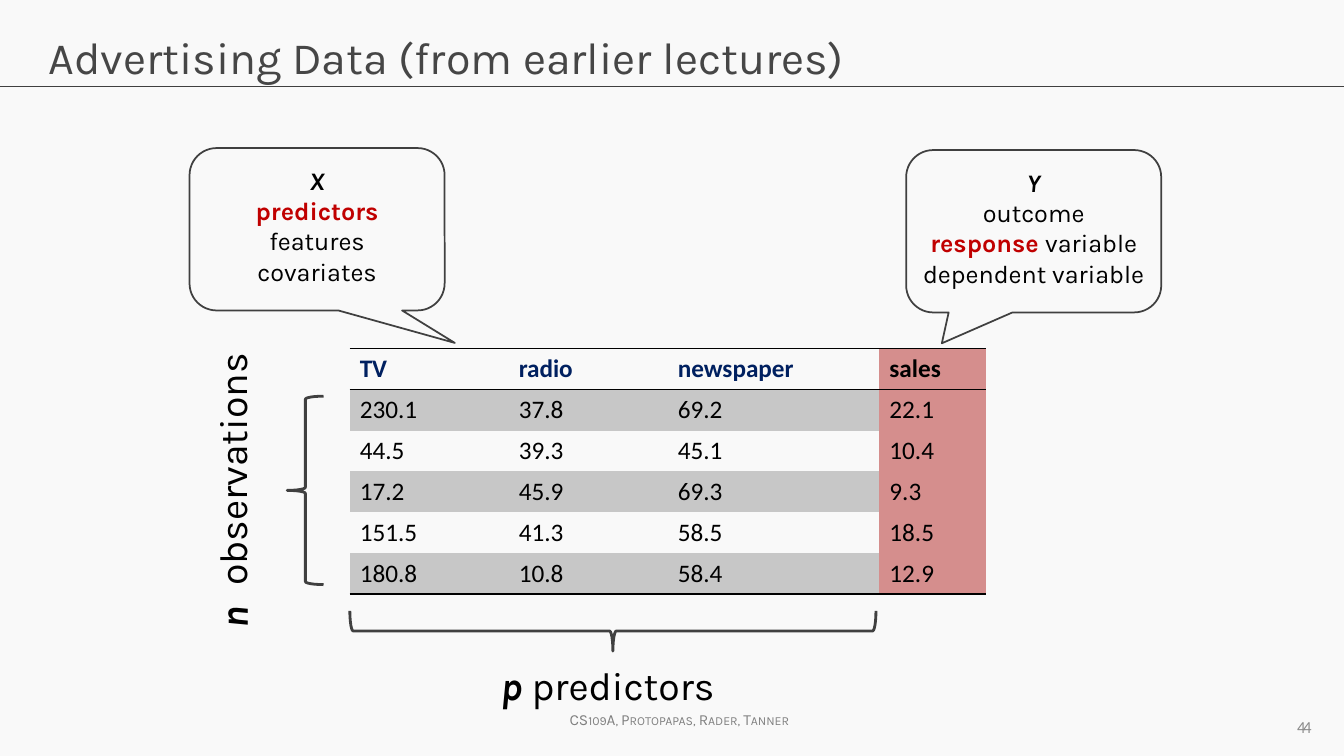
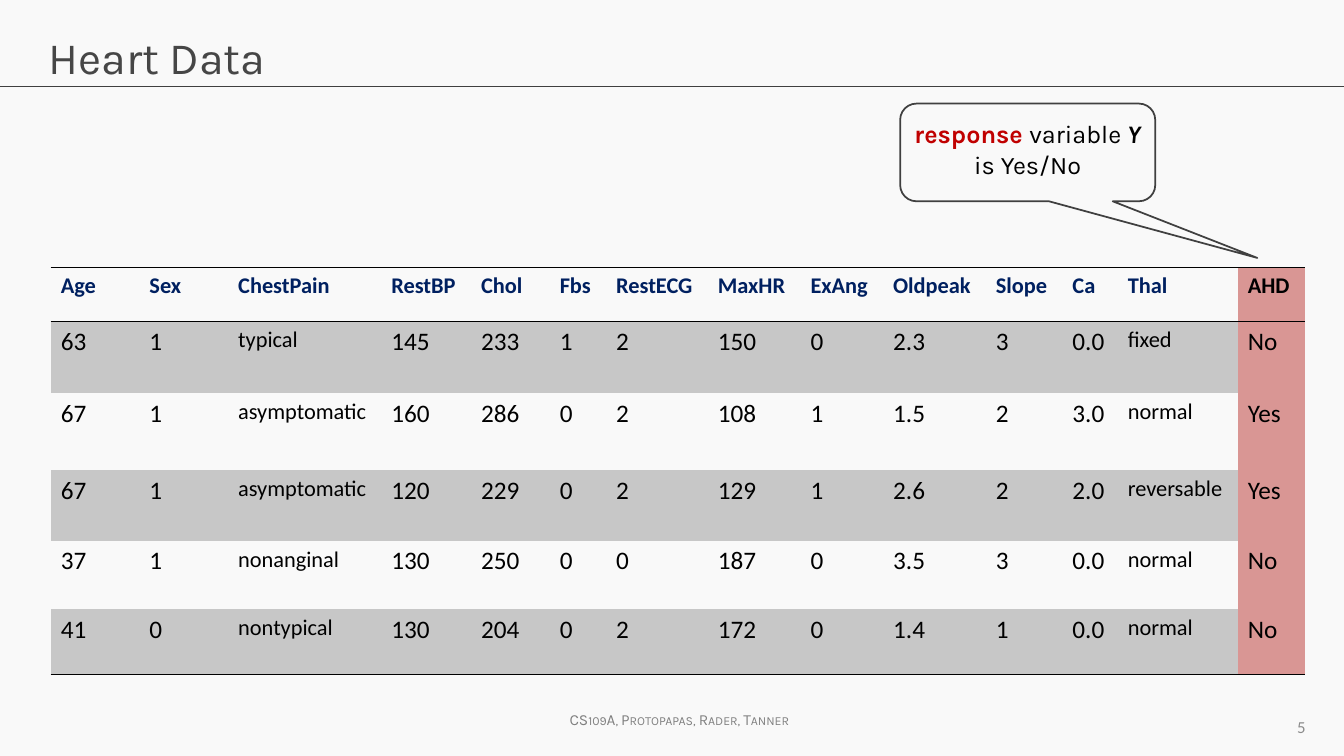
from lxml import etree
from pptx import Presentation
from pptx.dml.color import RGBColor
from pptx.enum.shapes import MSO_CONNECTOR, MSO_SHAPE
from pptx.enum.text import MSO_ANCHOR, MSO_AUTO_SIZE, PP_ALIGN
from pptx.oxml.ns import qn
from pptx.util import Pt

BACKGROUND = RGBColor(0xF9, 0xF9, 0xF9)
BLACK = RGBColor(0, 0, 0)
LINE = RGBColor(0x40, 0x40, 0x40)
TITLE = RGBColor(0x46, 0x46, 0x46)
FOOTER = RGBColor(0x80, 0x80, 0x80)
NUMBER = RGBColor(0x8C, 0x8C, 0x8C)
NAVY = RGBColor(0, 0x20, 0x60)
RED = RGBColor(0xC0, 0, 0)
BAND = RGBColor(0xC7, 0xC7, 0xC7)
ROSE = RGBColor(0xD5, 0x8E, 0x8D)
PINK = RGBColor(0xD9, 0x96, 0x94)

HEAD_FONT, DATA_FONT = "Karla", "Calibri"
NO_TABLE_STYLE = "{2D5ABB26-0587-4C30-8999-92F81FD0307C}"

SALES = [
    ["TV", "radio", "newspaper", "sales"],
    ["230.1", "37.8", "69.2", "22.1"],
    ["44.5", "39.3", "45.1", "10.4"],
    ["17.2", "45.9", "69.3", "9.3"],
    ["151.5", "41.3", "58.5", "18.5"],
    ["180.8", "10.8", "58.4", "12.9"],
]
HEART = [
    ["Age", "Sex", "ChestPain", "RestBP", "Chol", "Fbs", "RestECG", "MaxHR",
     "ExAng", "Oldpeak", "Slope", "Ca", "Thal", "AHD"],
    ["63", "1", "typical", "145", "233", "1", "2", "150", "0", "2.3", "3", "0.0", "fixed", "No"],
    ["67", "1", "asymptomatic", "160", "286", "0", "2", "108", "1", "1.5", "2", "3.0", "normal", "Yes"],
    ["67", "1", "asymptomatic", "120", "229", "0", "2", "129", "1", "2.6", "2", "2.0", "reversable", "Yes"],
    ["37", "1", "nonanginal", "130", "250", "0", "0", "187", "0", "3.5", "3", "0.0", "normal", "No"],
    ["41", "0", "nontypical", "130", "204", "0", "2", "172", "0", "1.4", "1", "0.0", "normal", "No"],
]


def style(font, size, color, name, bold=None):
    font.size, font.name, font.bold = Pt(size), name, bold
    font.color.rgb = color


def bold_italic(r):
    r.font.bold = r.font.italic = True


def bold_red(r):
    r.font.bold = True
    r.font.color.rgb = RED


def small_caps(r):
    r._r.get_or_add_rPr().set("cap", "small")


def wide_symbol(r):
    """Bold italic, with extra room after the letter."""
    bold_italic(r)
    r._r.get_or_add_rPr().set("spc", "800")


def add_border(cell, side):
    ln = etree.SubElement(cell._tc.get_or_add_tcPr(), qn(f"a:{side}"), w=str(Pt(1)))
    fill = etree.SubElement(ln, qn("a:solidFill"))
    etree.SubElement(fill, qn("a:srgbClr"), val=str(BLACK))


class Deck:
    def __init__(self):
        self.prs = Presentation()
        self.prs.slide_width, self.prs.slide_height = Pt(960), Pt(540)
        fill = self.prs.slide_master.background.fill
        fill.solid()
        fill.fore_color.rgb = BACKGROUND

    def new_slide(self, title, number):
        self.s = self.prs.slides.add_slide(self.prs.slide_layouts[5])
        sp = self.s.shapes.title
        sp.left, sp.top, sp.width, sp.height = Pt(27.4), Pt(17.3), Pt(905), Pt(60.5)
        tf = sp.text_frame
        tf.text, tf.vertical_anchor, tf.auto_size = title, MSO_ANCHOR.TOP, MSO_AUTO_SIZE.NONE
        p = tf.paragraphs[0]
        p.alignment = PP_ALIGN.LEFT
        style(p.font, 32, TITLE, HEAD_FONT)
        self.rule(62)
        self.text(395.3, 504, 180, 21, [[("CS109A, Protopapas, Rader, Tanner", small_caps)]],
                  11, FOOTER, align=PP_ALIGN.CENTER)
        self.page_number(715.7, number)

    def rule(self, y):
        line = self.s.shapes.add_connector(MSO_CONNECTOR.STRAIGHT, 0, Pt(y), Pt(960), Pt(y))
        line.line.color.rgb, line.line.width = LINE, Pt(0.75)
        etree.SubElement(line._element.spPr, qn("a:effectLst"))

    def page_number(self, x, number):
        sp = self.text(x, 504.5, 224, 28.8, [[(str(number), None)]], 12, NUMBER,
                       DATA_FONT, PP_ALIGN.RIGHT)
        sp.text_frame.word_wrap = True
        sp.text_frame.vertical_anchor = MSO_ANCHOR.MIDDLE

    def fill_text(self, tf, lines, size, color, name, align):
        """Fill tf with lines, each a list of (text, run formatter or None)."""
        tf.word_wrap = False
        for i, line in enumerate(lines):
            p = tf.add_paragraph() if i else tf.paragraphs[0]
            p.alignment = align
            style(p.font, size, color, name)
            for text, accent in line:
                r = p.add_run()
                r.text = text
                if accent:
                    accent(r)

    def text(self, x, y, w, h, lines, size, color=BLACK, name=HEAD_FONT, align=PP_ALIGN.LEFT):
        sp = self.s.shapes.add_textbox(Pt(x), Pt(y), Pt(w), Pt(h))
        self.fill_text(sp.text_frame, lines, size, color, name, align)
        return sp

    def outline(self, kind, x, y, w, h, weight):
        sp = self.s.shapes.add_shape(kind, Pt(x), Pt(y), Pt(w), Pt(h))
        sp.shadow.inherit = False
        sp.fill.background()
        sp.line.color.rgb, sp.line.width = LINE, Pt(weight)
        return sp

    def callout(self, x, y, h, tip, lines):
        """Speech bubble; tip is the pointer's offset from the centre, in widths and heights."""
        sp = self.outline(MSO_SHAPE.ROUNDED_RECTANGULAR_CALLOUT, x, y, 182.2, h, 1.25)
        sp.adjustments[0], sp.adjustments[1] = tip
        tf = sp.text_frame
        tf.vertical_anchor = MSO_ANCHOR.MIDDLE
        tf.margin_top, tf.margin_bottom = 0, Pt(5)
        self.fill_text(tf, lines, 18, BLACK, HEAD_FONT, PP_ALIGN.CENTER)

    def brace(self, x, y, w, h, rotation=0):
        self.outline(MSO_SHAPE.LEFT_BRACE, x, y, w, h, 2).rotation = rotation

    def table(self, x, y, widths, heights, rows, response_fill, head_size, word_cols=()):
        """Banded table whose last column, the response, is highlighted."""
        tbl = self.s.shapes.add_table(len(rows), len(widths), Pt(x), Pt(y),
                                      Pt(sum(widths)), Pt(sum(heights))).table
        tbl.first_row = tbl.horz_banding = False
        tbl._tbl.tblPr.find(qn("a:tableStyleId")).text = NO_TABLE_STYLE
        for column, w in zip(tbl.columns, widths):
            column.width = Pt(w)
        for row, h in zip(tbl.rows, heights):
            row.height = Pt(h)
        last_row, last_col = len(rows) - 1, len(widths) - 1
        for i, values in enumerate(rows):
            for j, value in enumerate(values):
                cell = tbl.cell(i, j)
                cell.text = value
                head, response = i == 0, j == last_col
                size = head_size if head else 16 if j in word_cols else 18
                color = NAVY if head and not response else BLACK
                style(cell.text_frame.paragraphs[0].font, size, color, DATA_FONT, head)
                if head:
                    add_border(cell, "lnT")
                if i in (0, last_row):
                    add_border(cell, "lnB")
                if response or i % 2:
                    cell.fill.solid()
                    cell.fill.fore_color.rgb = response_fill if response else BAND
                else:
                    cell.fill.background()


def advertising_slide(deck):
    deck.new_slide("Advertising Data (from earlier lectures)", 4)
    deck.page_number(720, 4)
    deck.table(249.8, 249.1, [113.6, 113.6, 151.2, 76], [29.2] * 6, SALES, ROSE, 18)
    deck.callout(647.3, 107.2, 116, (-0.36, 0.69), [
        [("Y", bold_italic)],
        [("outcome", None)],
        [("response ", bold_red), ("variable", None)],
        [("dependent variable", None)],
    ])
    deck.callout(135.4, 105.8, 116, (0.54, 0.7), [
        [("X", bold_italic)],
        [("predictors", bold_red)],
        [("features", None)],
        [("covariates", None)],
    ])
    deck.brace(423.4, 262.8, 28.8, 375.8, 270)
    deck.text(350.6, 468.7, 170, 41, [[("p", bold_italic), (" predictors", None)]], 28)
    deck.brace(205.2, 283, 25.9, 134.6)
    label = deck.text(59.8, 329, 212.4, 41, [[("n", wide_symbol), (" observations", None)]], 28)
    label.rotation = 270


def heart_slide(deck):
    deck.new_slide("Heart Data", 5)
    deck.table(36.2, 190.8,
               [63.4, 63.4, 109.4, 64.1, 56.2, 40.3, 72.7, 66.2, 59, 73.4, 54.7, 39.6, 85.7, 48.2],
               [38.9, 51.1, 55.1, 50.4, 49, 46.8], HEART, PINK, 16, word_cols=(2, 12))
    deck.callout(643, 74, 69.8, (0.9, 1.08), [
        [("response ", bold_red), ("variable ", None), ("Y", bold_italic)],
        [("is Yes/No", None)],
    ])


def main():
    deck = Deck()
    advertising_slide(deck)
    heart_slide(deck)
    deck.prs.save("out.pptx")


if __name__ == "__main__":
    main()
